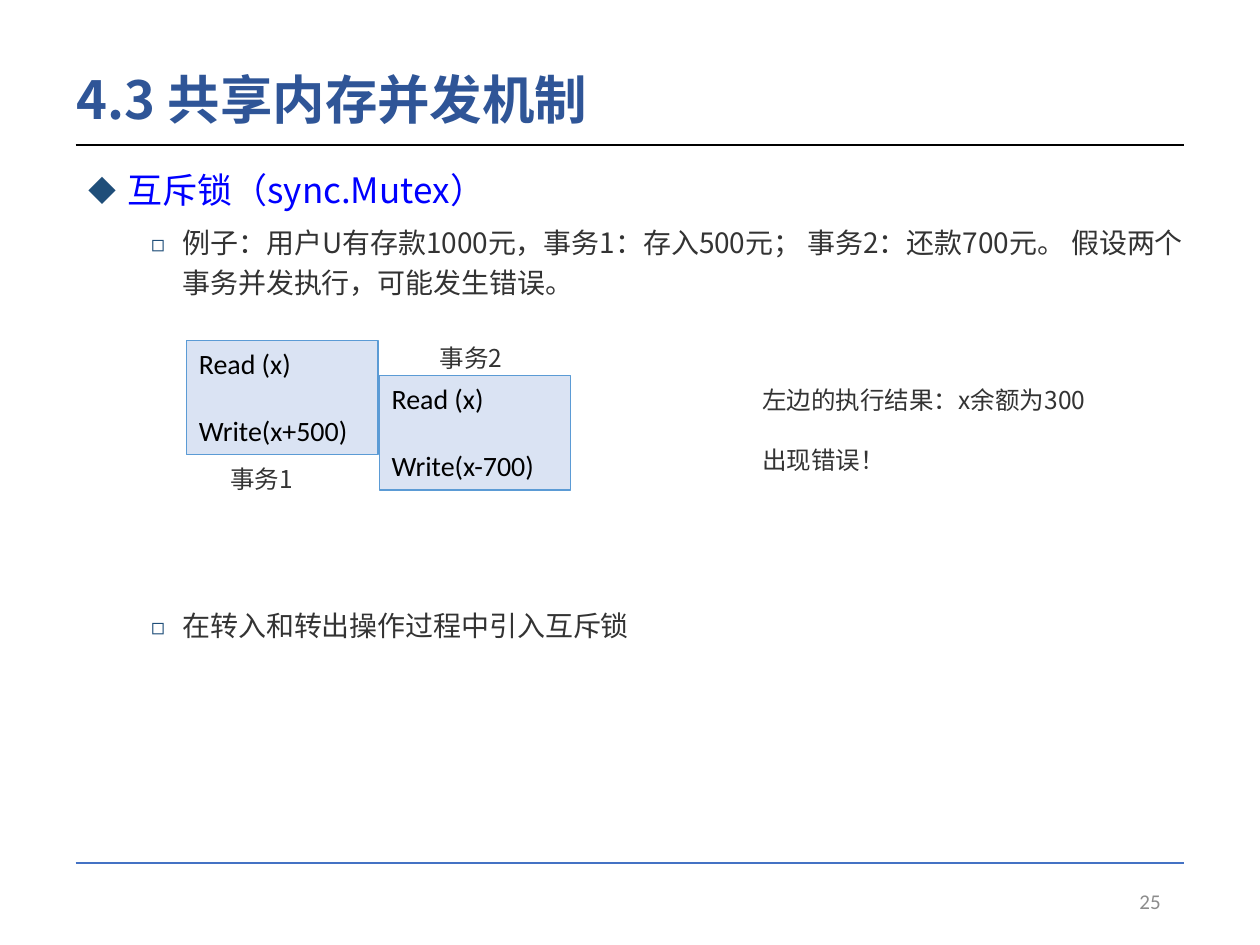
from lxml import etree
from pptx import Presentation, util as u
from pptx.dml.color import RGBColor
from pptx.enum import shapes, text
from pptx.oxml.ns import qn

COLORS = {
    "title": "2F5597", "heading": "0000FF", "body": "333333",
    "bullet": "1F4E79", "number": "8C8C8C", "black": "000000",
    "footer": "4472C4", "box": "DAE3F3", "border": "5B9BD5",
}
CJK = "Noto Sans CJK SC"
LATIN = "Calibri"


def color(name):
    return RGBColor.from_string(COLORS[name])


def format_runs(paragraph, size, color_name, font=CJK, bold=False):
    for run in paragraph.runs:
        run.font.size = u.Pt(size)
        run.font.name = font
        run.font.bold = bold
        run.font.color.rgb = color(color_name)
        east_asian = etree.SubElement(run._r.get_or_add_rPr(), qn("a:ea"))
        east_asian.set("typeface", CJK)


def fill_text(shape, lines, size, color_name, font=CJK, gap=0, bold=False):
    frame = shape.text_frame
    frame.word_wrap = True
    frame.text = "\n".join(lines)
    for index, paragraph in enumerate(frame.paragraphs):
        paragraph.alignment = text.PP_ALIGN.LEFT
        paragraph.space_before = u.Pt(gap if index else 0)
        format_runs(paragraph, size, color_name, font, bold)
    return frame


def add_text(slide, box, lines, size, color_name, **options):
    shape = slide.shapes.add_textbox(*map(u.Inches, box))
    return fill_text(shape, lines, size, color_name, **options)


def add_rule(slide, top, color_name, width):
    line = slide.shapes.add_connector(
        shapes.MSO_CONNECTOR.STRAIGHT,
        u.Inches(0.6), u.Inches(top), u.Inches(9.4), u.Inches(top))
    line.line.color.rgb = color(color_name)
    line.line.width = u.Pt(width)
    etree.SubElement(line._element.spPr, qn("a:effectLst"))


def add_transaction(slide, left, top, lines):
    shape = slide.shapes.add_shape(
        shapes.MSO_SHAPE.RECTANGLE,
        u.Inches(left), u.Inches(top), u.Inches(1.52), u.Inches(0.91))
    shape.shadow.inherit = False
    shape.fill.solid()
    shape.fill.fore_color.rgb = color("box")
    shape.line.color.rgb = color("border")
    shape.line.width = u.Pt(0.75)
    frame = fill_text(shape, lines, 16, "black", font=LATIN, gap=19)
    frame.vertical_anchor = text.MSO_ANCHOR.TOP


def set_bullet(paragraph, symbol, margin, hanging):
    properties = paragraph._p.get_or_add_pPr()
    properties.set("marL", str(u.Inches(margin)))
    properties.set("indent", str(-u.Inches(hanging)))
    bullet_color = etree.SubElement(properties, qn("a:buClr"))
    etree.SubElement(bullet_color, qn("a:srgbClr")).set("val", COLORS["bullet"])
    etree.SubElement(properties, qn("a:buSzPct")).set("val", "80000")
    etree.SubElement(properties, qn("a:buFont")).set("typeface", CJK)
    etree.SubElement(properties, qn("a:buChar")).set("char", symbol)


def add_outline(slide, box, items):
    frame = slide.shapes.add_textbox(*map(u.Inches, box)).text_frame
    frame.word_wrap = True
    frame.text = "\n".join(item[1] for item in items)
    for paragraph, (level, _, space) in zip(frame.paragraphs, items):
        paragraph.level = level
        paragraph.line_spacing = 1.2
        paragraph.space_before = u.Pt(space)
        if level:
            set_bullet(paragraph, "◻", 0.75, 0.25)
            format_runs(paragraph, 16, "body")
        else:
            set_bullet(paragraph, "◆", 0.31, 0.31)
            format_runs(paragraph, 20, "heading")


def main():
    presentation = Presentation()
    presentation.slide_width = u.Inches(10)
    presentation.slide_height = u.Inches(7.5)
    slide = presentation.slides.add_slide(presentation.slide_layouts[6])

    title = add_text(slide, (0.51, 0.48, 8.62, 0.67), ["4.3 共享内存并发机制"],
                     30, "title", bold=True)
    title.vertical_anchor = text.MSO_ANCHOR.MIDDLE
    title.paragraphs[0].line_spacing = 0.9
    number = add_text(slide, (7.06, 6.95, 2.25, 0.4), ["25"], 12, "number", font=LATIN)
    number.vertical_anchor = text.MSO_ANCHOR.MIDDLE
    number.paragraphs[0].alignment = text.PP_ALIGN.RIGHT

    add_rule(slide, 1.15, "black", 1.5)
    add_outline(slide, (0.6, 1.22, 8.98, 5.74), [
        (0, "互斥锁（sync.Mutex）", 10),
        (1, "例子：用户U有存款1000元，事务1：存入500元； 事务2：还款700元。 "
            "假设两个事务并发执行，可能发生错误。", 5),
        (1, "在转入和转出操作过程中引入互斥锁", 173),
    ])
    add_rule(slide, 6.85, "footer", 1)

    add_transaction(slide, 1.48, 2.7, ["Read (x)", "Write(x+500)"])
    add_transaction(slide, 3.01, 2.98, ["Read (x)", "Write(x-700)"])
    add_text(slide, (1.73, 3.63, 0.77, 0.34), ["事务1"], 14, "body")
    add_text(slide, (3.39, 2.67, 0.77, 0.34), ["事务2"], 14, "body")
    add_text(slide, (5.95, 3.01, 3.45, 0.81),
             ["左边的执行结果：x余额为300", "出现错误！"], 14, "body", gap=17)
    presentation.save("out.pptx")


if __name__ == "__main__":
    main()
